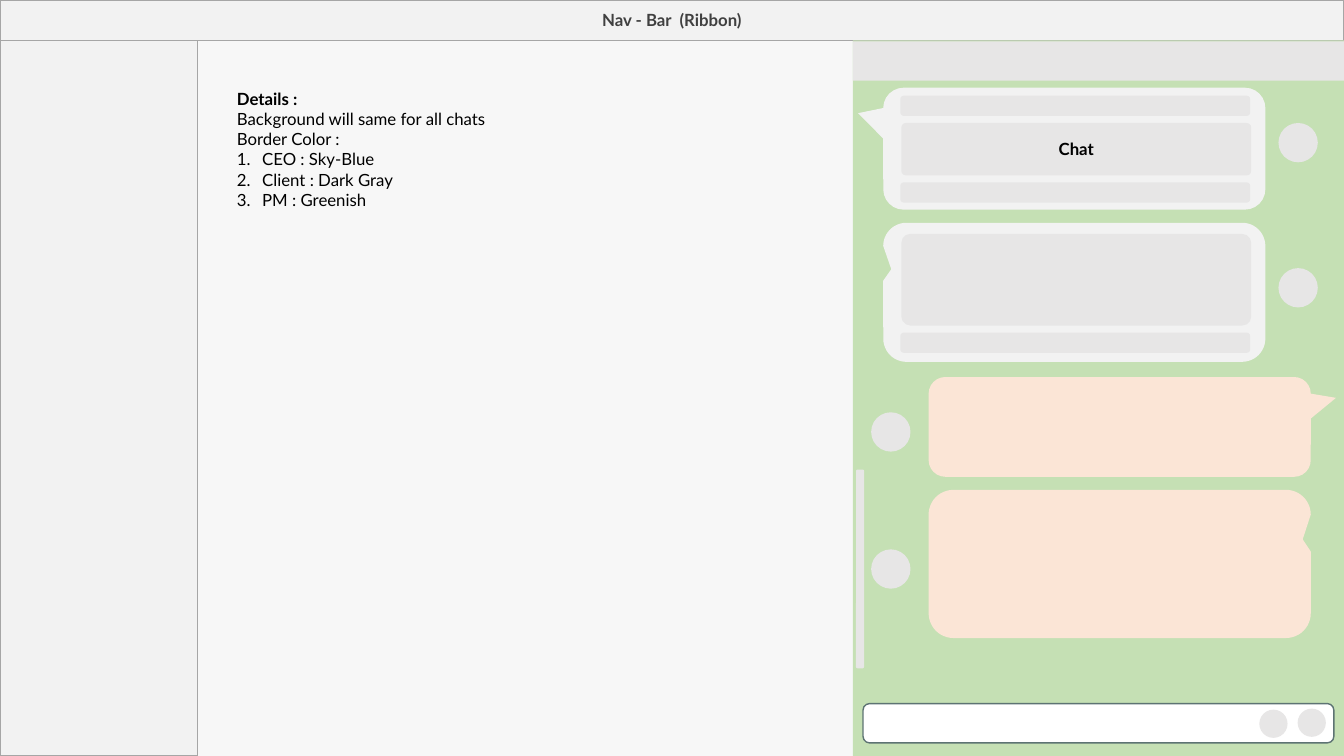
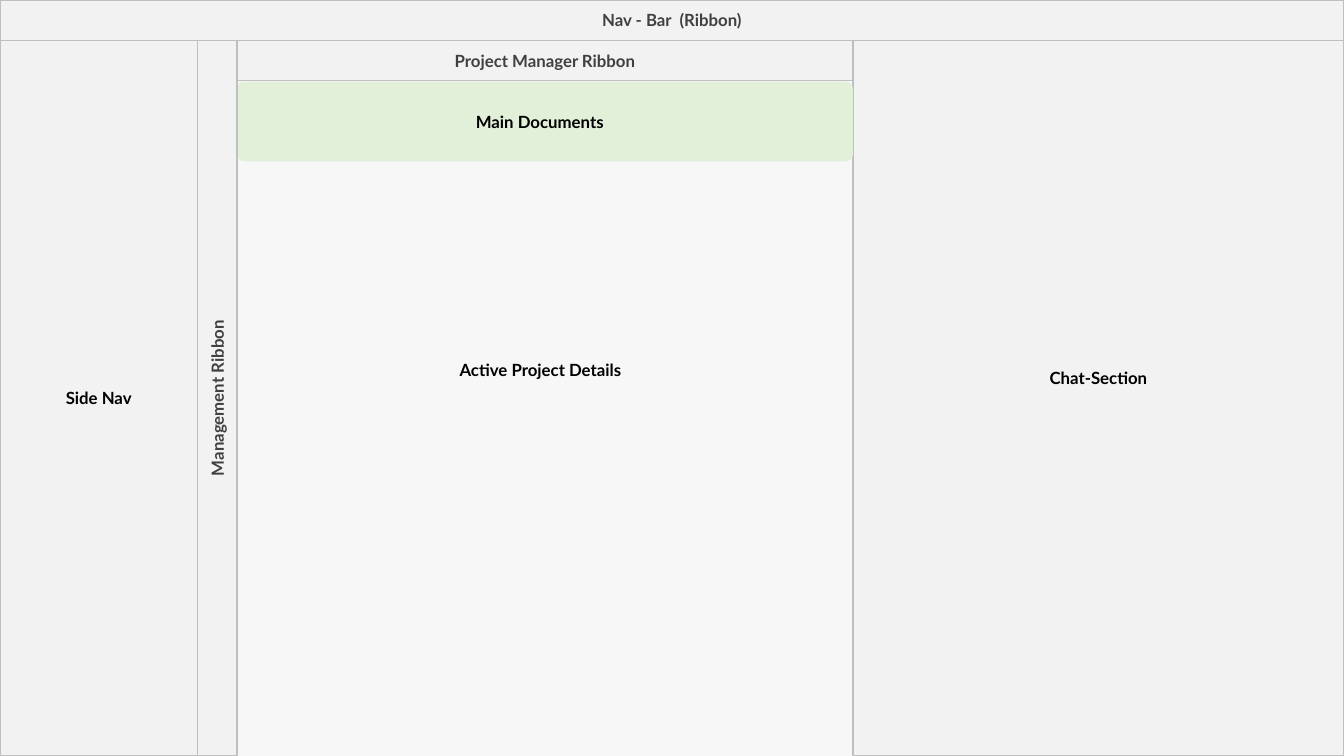
from lxml import etree
from pptx import Presentation
from pptx import util as u
from pptx.dml.color import RGBColor
from pptx.enum import shapes, text
from pptx.oxml.ns import qn

FONT, SIZE = "Lato", 12
BLACK, DARK = "000000", "404040"
PAGE, PANEL, BLOCK = "F7F7F7", "F2F2F2", "E7E6E6"
GREEN, PALE_GREEN, PEACH = "C5E0B4", "E2F0D9", "FBE5D6"
GREY_LINE, LIGHT_LINE, INPUT_LINE = "A6A6A6", "BFBFBF", "5D7373"

# Shared layout: bar height, column edges
W, H, BAR = 13.33, 7.5, 0.4
SIDE_W, RIBBON_X, CHAT_X = 1.96, 2.35, 8.46
SIDE_BOX = (0, BAR, SIDE_W, H - BAR)
KIND = shapes.MSO_SHAPE


def rgb(color):
    return RGBColor.from_string(color)


def paint(s, fill, line=None):
    s.fill.solid()
    s.fill.fore_color.rgb = rgb(fill)
    if line:
        s.line.color.rgb = rgb(line)
        s.line.width = u.Pt(1)
    else:
        s.line.fill.background()


def place(s, x, y, w, h):
    s.left, s.top, s.width, s.height = (u.Inches(v) for v in (x, y, w, h))


def add_run(p, words, color=BLACK, bold=True):
    r = p.add_run()
    r.text = words
    r.font.name, r.font.size, r.font.bold = FONT, u.Pt(SIZE), bold
    r.font.color.rgb = rgb(color)


def label(s, words, color=BLACK):
    tf = s.text_frame
    tf.word_wrap = True
    tf.auto_size = text.MSO_AUTO_SIZE.NONE
    tf.vertical_anchor = text.MSO_ANCHOR.MIDDLE
    p = tf.paragraphs[0]
    p.alignment = text.PP_ALIGN.CENTER
    add_run(p, words, color)


def add_box(slide, box, fill, line=None, kind=KIND.RECTANGLE, adj=(),
            words=None, color=BLACK):
    s = slide.shapes.add_shape(kind, *(u.Inches(v) for v in box))
    s.shadow.inherit = False
    paint(s, fill, line)
    for i, value in enumerate(adj):
        s.adjustments[i] = value
    if words:
        label(s, words, color)
    return s


def new_slide(prs, layout):
    slide = prs.slides.add_slide(prs.slide_layouts[layout])
    slide.background.fill.solid()
    slide.background.fill.fore_color.rgb = rgb(PAGE)
    return slide


def nav_bar(slide, line):
    s = slide.shapes.title
    s.element.getparent().append(s.element)  # bring above the columns
    place(s, 0, 0, W, BAR)
    paint(s, PANEL, line)
    label(s, "Nav - Bar  (Ribbon)", DARK)


def details(slide, x, y, w, h):
    s = slide.placeholders[1]
    place(s, x, y, w, h)
    tf = s.text_frame
    tf.auto_size = text.MSO_AUTO_SIZE.NONE
    lines = [("Details :", True, False),
             ("Background will same for all chats", False, False),
             ("Border Color :", False, False),
             ("CEO : Sky-Blue", False, True),
             ("Client : Dark Gray", False, True),
             ("PM : Greenish", False, True)]
    for i, (words, bold, numbered) in enumerate(lines):
        p = tf.add_paragraph() if i else tf.paragraphs[0]
        p.space_before = u.Pt(0)
        add_run(p, words, BLACK, bold)
        # Numbering and hanging indent
        indent = u.Inches(0.25) if numbered else 0
        pr = p._p.get_or_add_pPr()
        pr.set("marL", str(indent))
        pr.set("indent", str(-indent))
        if numbered:
            etree.SubElement(pr, qn("a:buFont")).set("typeface", "+mj-lt")
            etree.SubElement(pr, qn("a:buAutoNum")).set("type", "arabicPeriod")
        else:
            etree.SubElement(pr, qn("a:buNone"))


def bubble(slide, x, y, w, h, incoming, tail):
    # The callout is turned a quarter, so its own width and height swap
    box = (x + (w - h) / 2, y + (h - w) / 2, h, w)
    adj = (-0.291, 0.566, 0.167) if tail else (-0.166, 0.479, 0.167)
    s = add_box(slide, box, PANEL if incoming else PEACH,
                kind=KIND.ROUNDED_RECTANGULAR_CALLOUT, adj=adj)
    s.rotation = 90 if incoming else 270
    if not incoming:
        s.element.spPr.find(qn("a:xfrm")).set("flipH", "1")


def chat_panel(slide, x, y, w, h):
    def block(dx, dy, bw, bh, **style):
        style.setdefault("kind", KIND.ROUNDED_RECTANGLE)
        return add_box(slide, (x + dx, y + dy, bw, bh), BLOCK, **style)

    def dot(dx, dy, size):
        block(dx, dy, size, size, kind=KIND.OVAL)

    add_box(slide, (x, y, w, h), GREEN)
    block(0, 0.01, w, 0.39, adj=[0])

    # Messages: top, height, avatar top, incoming, tail
    for top, height, avatar, incoming, tail in (
            (0.47, 1.21, 0.82, True, True),
            (1.81, 1.38, 2.26, True, False),
            (3.34, 0.99, 3.69, False, True),
            (4.46, 1.47, 5.05, False, False)):
        bubble(slide, x + (0.3 if incoming else 0.75), y + top, 3.79, height,
               incoming, tail)
        dot(4.22 if incoming else 0.18, avatar, 0.39)

    # Contents of the incoming messages
    for top in (0.55, 1.41, 2.9):
        block(0.47, top, 3.47, 0.2)
    block(0.48, 0.82, 3.47, 0.52, adj=[0.087], words="Chat")
    block(0.48, 1.92, 3.47, 0.91, adj=[0.099])

    # Scroll bar and input field
    block(0.03, 4.26, 0.08, 1.97)
    add_box(slide, (x + 0.1, y + 6.58, 4.67, 0.39), "FFFFFF", INPUT_LINE,
            KIND.ROUNDED_RECTANGLE)
    dot(4.41, 6.63, 0.28)
    dot(4.03, 6.64, 0.28)


def project_area(slide, x, y, w, h):
    add_box(slide, (x, y, w, BAR), PANEL, LIGHT_LINE,
            words="Project Manager Ribbon", color=DARK)
    docs = add_box(slide, (x, y + 0.41, w, 0.79), PALE_GREEN,
                   kind=KIND.ROUNDED_RECTANGLE, adj=[0.087],
                   words="Main Documents")
    docs.text_frame.margin_right = u.Inches(0.2)
    s = slide.shapes.add_textbox(*(u.Inches(v) for v in
                                   (x + 2.11, y + 3.12, 1.93, 0.3)))
    s.text_frame.word_wrap = False
    add_run(s.text_frame.paragraphs[0], "Active Project Details")


def chat_slide(prs):
    slide = new_slide(prs, 1)
    add_box(slide, SIDE_BOX, PANEL, GREY_LINE)
    nav_bar(slide, GREY_LINE)
    details(slide, 2.25, 0.83, 5.6, 1.51)
    chat_panel(slide, CHAT_X, BAR, W - CHAT_X, H - BAR)


def overview_slide(prs):
    slide = new_slide(prs, 5)
    add_box(slide, SIDE_BOX, PANEL, LIGHT_LINE, words="Side Nav")
    add_box(slide, (CHAT_X, 0, W - CHAT_X, H), PANEL, LIGHT_LINE,
            words="Chat-Section")
    nav_bar(slide, LIGHT_LINE)
    project_area(slide, RIBBON_X, BAR, CHAT_X - RIBBON_X, H - BAR)
    ribbon = add_box(slide, (SIDE_W, BAR, RIBBON_X - SIDE_W, H - BAR), PANEL,
                     LIGHT_LINE, words="Management Ribbon", color=DARK)
    ribbon.element.txBody.find(qn("a:bodyPr")).set("vert", "vert270")


def main():
    prs = Presentation()
    prs.slide_width, prs.slide_height = u.Inches(W), u.Inches(H)
    chat_slide(prs)
    overview_slide(prs)
    prs.save("out.pptx")


if __name__ == "__main__":
    main()
